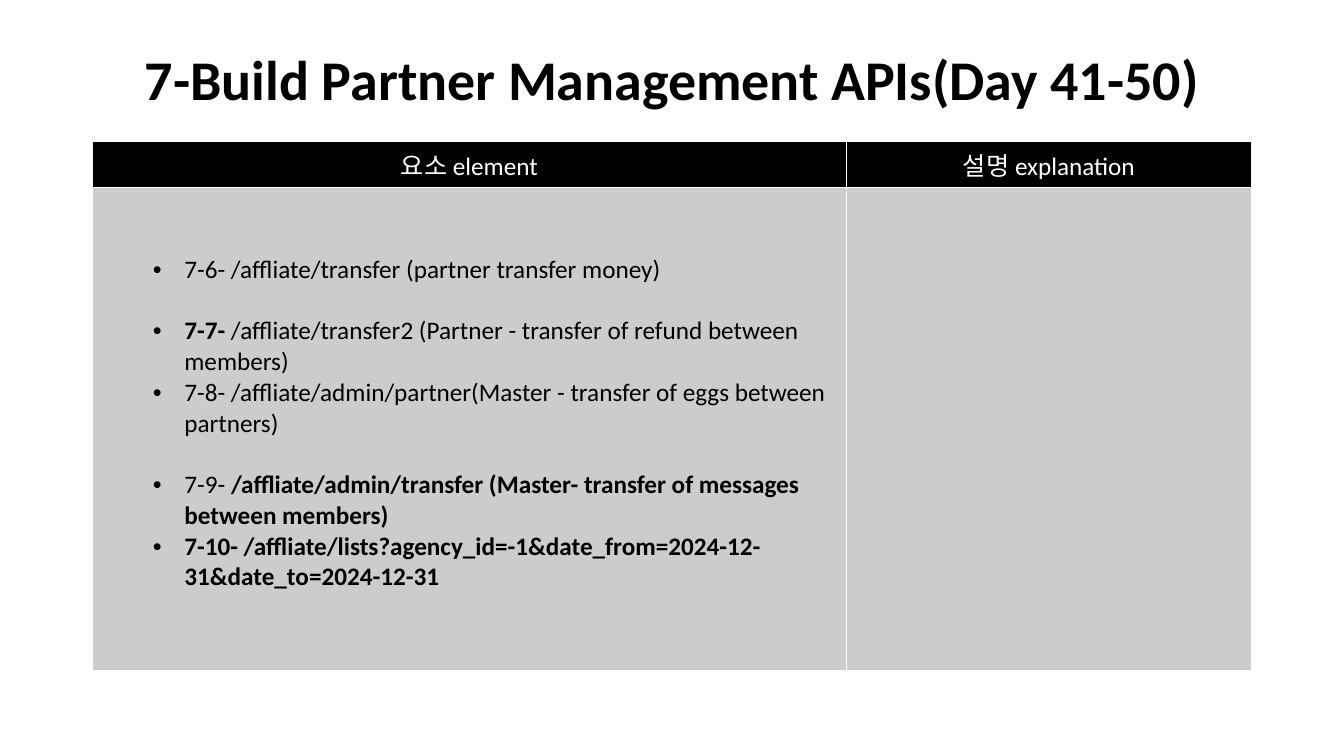
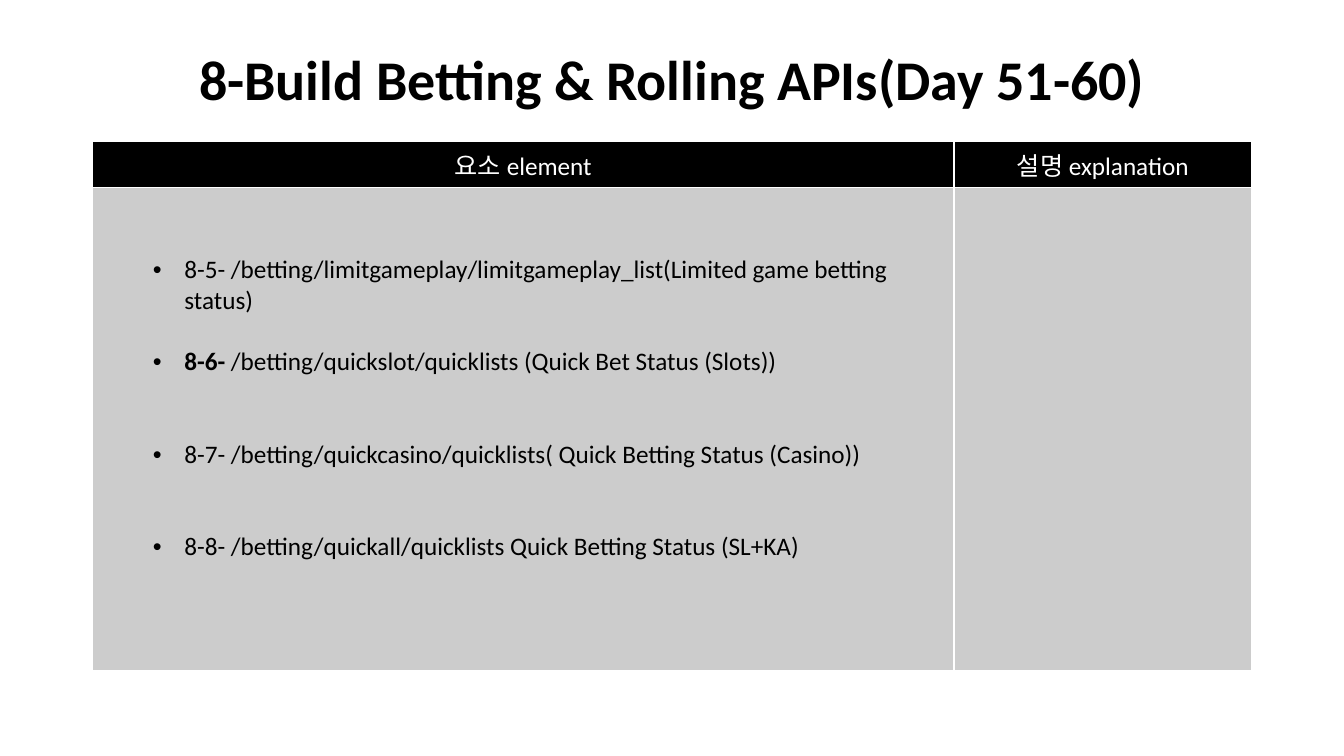
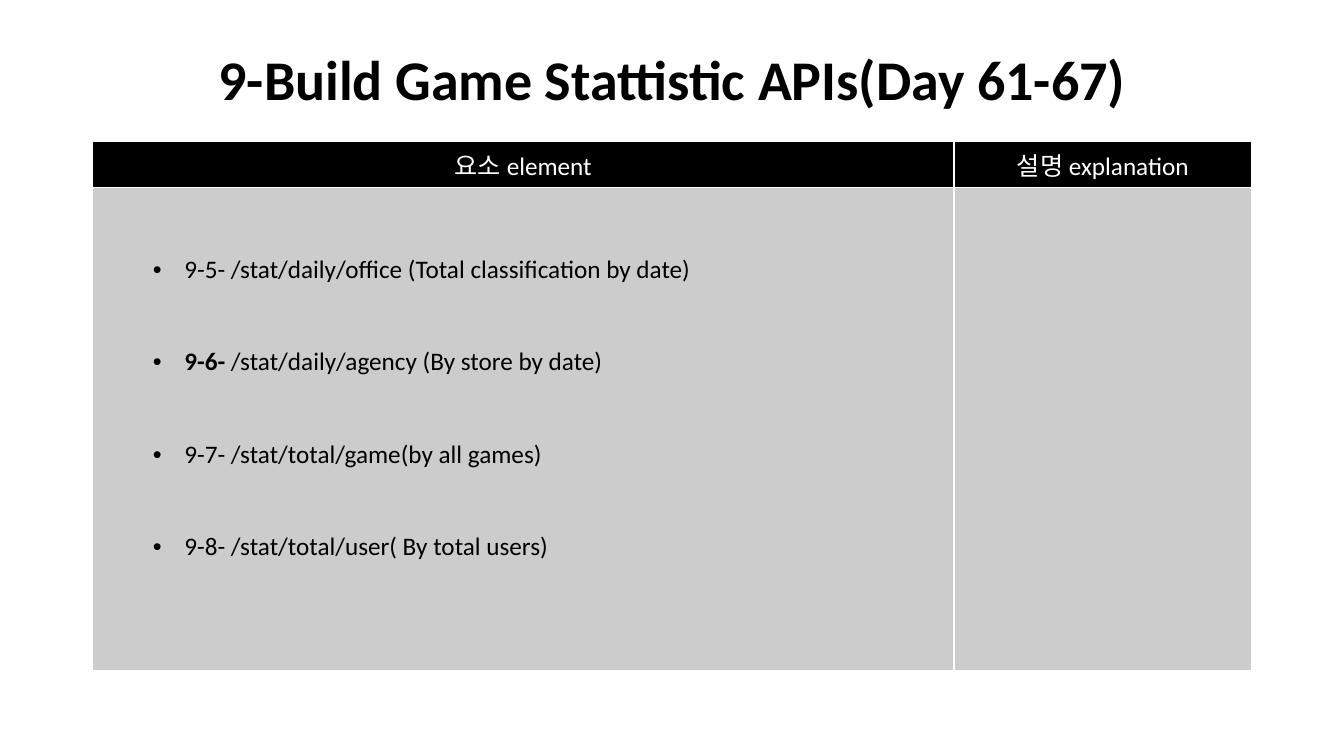
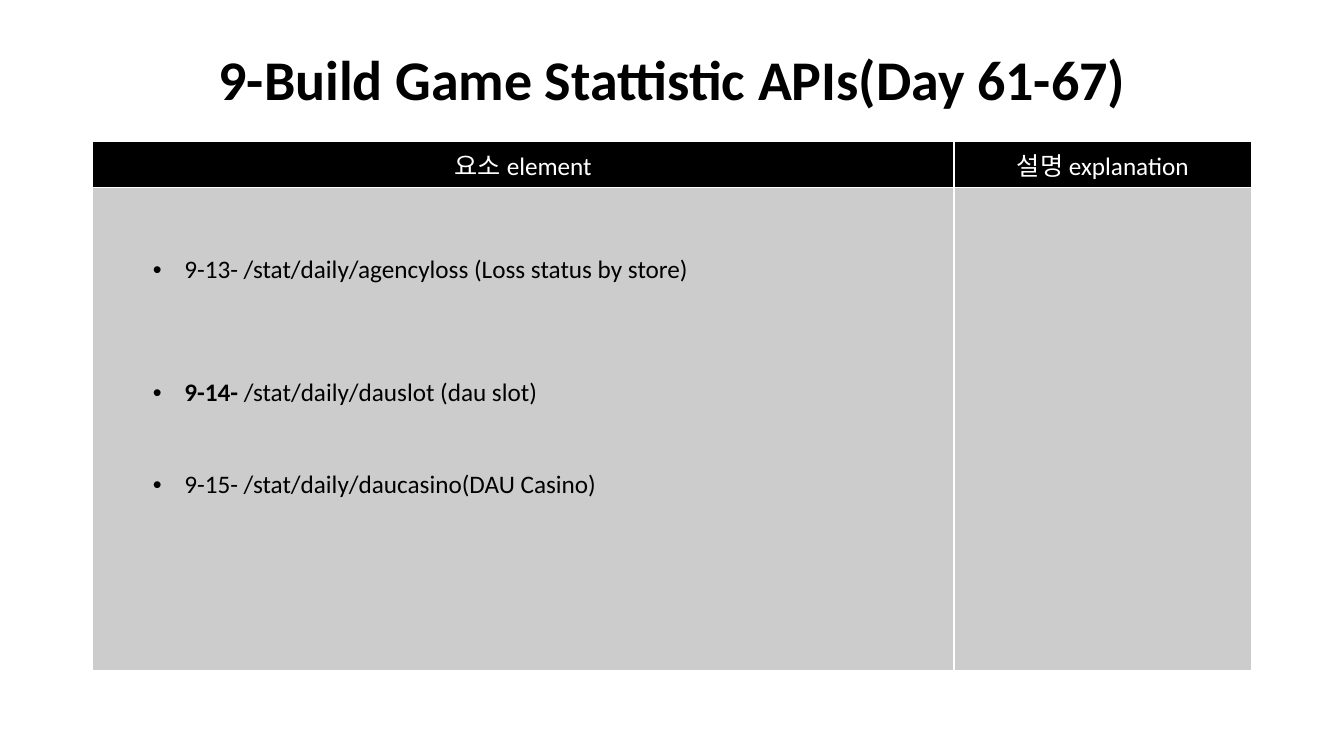
import pptx
import pptx.dml.color
import pptx.enum.text
import pptx.oxml
import pptx.oxml.ns
import pptx.util

Pt = pptx.util.Pt
RGBColor = pptx.dml.color.RGBColor
PP_ALIGN = pptx.enum.text.PP_ALIGN
MSO_ANCHOR = pptx.enum.text.MSO_ANCHOR

# Shared style
BLACK = RGBColor(0x00, 0x00, 0x00)
WHITE = RGBColor(0xFF, 0xFF, 0xFF)
GRAY = RGBColor(0xCC, 0xCC, 0xCC)
FONT = "Calibri"
TEXT_SIZE = 18
TITLE_SIZE = 40

# Shared layout, in points
SLIDE_WIDTH, SLIDE_HEIGHT = 960, 540
CONTENT_LEFT, CONTENT_WIDTH = 66, 828
TITLE_TOP, TITLE_HEIGHT, TITLE_BOTTOM_MARGIN = 28.75, 104.4, 47.6
TABLE_TOP, HEADER_HEIGHT, BODY_HEIGHT = 100.8, 26.64, 344.88
LINE_HEIGHT = 22
BODY_TOP_MARGIN = 3.6 + 2 * LINE_HEIGHT
BULLET_MARGIN, BULLET_INDENT = 58.5, -22.5
WIDE_COLUMN, NARROW_COLUMN = 615.5, 538.5

HEADERS = ["요소 element", "설명 explanation"]

# Each item: free lines above it, then its runs as (text, bold)
PARTNER_ITEMS = [
    (0, [("7-6- /affliate/transfer (partner transfer money)", False)]),
    (1, [("7-7-", True),
         (" /affliate/transfer2 (Partner - transfer of refund between members)", False)]),
    (0, [("7-8- /affliate/admin/partner(Master - transfer of eggs between partners)", False)]),
    (1, [("7-9- ", False),
         ("/affliate/admin/transfer (Master- transfer of messages between members)", True)]),
    (0, [("7-10- /affliate/lists?agency_id=-1&date_from=2024-12-31&date_to=2024-12-31", True)]),
]
BETTING_ITEMS = [
    (0, [("8-5- /betting/limitgameplay/limitgameplay_list(Limited game betting status)", False)]),
    (1, [("8-6-", True),
         (" /betting/quickslot/quicklists (Quick Bet Status (Slots))", False)]),
    (2, [("8-7- /betting/quickcasino/quicklists( Quick Betting Status (Casino))", False)]),
    (2, [("8-8- /betting/quickall/quicklists Quick Betting Status (SL+KA)", False)]),
]
DAILY_ITEMS = [
    (0, [("9-5- /stat/daily/office (Total classification by date)", False)]),
    (2, [("9-6-", True), (" /stat/daily/agency (By store by date)", False)]),
    (2, [("9-7- /stat/total/game(by all games)", False)]),
    (2, [("9-8- /stat/total/user( By total users)", False)]),
]
LOSS_ITEMS = [
    (0, [("9-13- /stat/daily/agencyloss (Loss status by store)", False)]),
    (3, [("9-14-", True), (" /stat/daily/dauslot (dau slot)", False)]),
    (2, [("9-15- /stat/daily/daucasino(DAU Casino)", False)]),
]
STATISTIC_TITLE = "9-Build Game Stattistic APIs(Day 61-67)"

SLIDES = [
    ("7-Build Partner Management APIs(Day 41-50)", NARROW_COLUMN, PARTNER_ITEMS),
    ("8-Build Betting & Rolling APIs(Day 51-60)", WIDE_COLUMN, BETTING_ITEMS),
    (STATISTIC_TITLE, WIDE_COLUMN, DAILY_ITEMS),
    (STATISTIC_TITLE, WIDE_COLUMN, LOSS_ITEMS),
]


def add_run(paragraph, text, size, color, bold=False):
    run = paragraph.add_run()
    run.text = text
    run.font.name = FONT
    run.font.size = Pt(size)
    run.font.bold = bold
    run.font.color.rgb = color


def style_title(layout):
    """Place the layout's title; every slide inherits it."""
    title = layout.placeholders[0]
    title.left, title.top = Pt(CONTENT_LEFT), Pt(TITLE_TOP)
    title.width, title.height = Pt(CONTENT_WIDTH), Pt(TITLE_HEIGHT)
    title.text_frame.vertical_anchor = MSO_ANCHOR.MIDDLE
    title.text_frame.margin_bottom = Pt(TITLE_BOTTOM_MARGIN)


def add_title(slide, text):
    paragraph = slide.shapes.title.text_frame.paragraphs[0]
    paragraph.alignment = PP_ALIGN.CENTER
    paragraph.line_spacing = 0.9
    add_run(paragraph, text, TITLE_SIZE, BLACK, bold=True)


def style_cell(cell, color):
    """Give the cell white one-point borders and a plain fill."""
    properties = cell._tc.get_or_add_tcPr()
    for side in ("lnL", "lnR", "lnT", "lnB"):
        properties.append(pptx.oxml.parse_xml(
            f'<a:{side} {pptx.oxml.ns.nsdecls("a")} w="{Pt(1)}">'
            f'<a:solidFill><a:srgbClr val="{WHITE}"/></a:solidFill></a:{side}>'))
    cell.fill.solid()
    cell.fill.fore_color.rgb = color


def add_bullet(paragraph):
    paragraph.level = 1
    properties = paragraph._p.get_or_add_pPr()
    properties.set("marL", str(Pt(BULLET_MARGIN)))
    properties.set("indent", str(Pt(BULLET_INDENT)))
    for tag in ('buFont typeface="Arial"', 'buChar char="•"'):
        properties.append(pptx.oxml.parse_xml(f'<a:{tag} {pptx.oxml.ns.nsdecls("a")}/>'))


def fill_list(cell, items):
    cell.margin_top = Pt(BODY_TOP_MARGIN)
    text_frame = cell.text_frame
    for index, (free_lines, runs) in enumerate(items):
        paragraph = text_frame.add_paragraph() if index else text_frame.paragraphs[0]
        add_bullet(paragraph)
        if free_lines:
            paragraph.space_before = Pt(free_lines * LINE_HEIGHT)
        for text, bold in runs:
            add_run(paragraph, text, TEXT_SIZE, BLACK, bold)


def add_element_table(slide, first_width, items):
    table = slide.shapes.add_table(
        2, 2, Pt(CONTENT_LEFT), Pt(TABLE_TOP),
        Pt(CONTENT_WIDTH), Pt(HEADER_HEIGHT + BODY_HEIGHT)).table
    table.first_row = table.horz_banding = False
    for row, height in zip(table.rows, (HEADER_HEIGHT, BODY_HEIGHT)):
        row.height = Pt(height)
    for column, width in zip(table.columns, (first_width, CONTENT_WIDTH - first_width)):
        column.width = Pt(width)

    for index, header in enumerate(HEADERS):
        style_cell(table.cell(0, index), BLACK)
        style_cell(table.cell(1, index), GRAY)
        paragraph = table.cell(0, index).text_frame.paragraphs[0]
        paragraph.alignment = PP_ALIGN.CENTER
        add_run(paragraph, header, TEXT_SIZE, WHITE)
    fill_list(table.cell(1, 0), items)


def main():
    presentation = pptx.Presentation()
    presentation.slide_width = Pt(SLIDE_WIDTH)
    presentation.slide_height = Pt(SLIDE_HEIGHT)
    layout = presentation.slide_layouts.get_by_name("Title Only")
    style_title(layout)
    for title, first_width, items in SLIDES:
        slide = presentation.slides.add_slide(layout)
        add_title(slide, title)
        add_element_table(slide, first_width, items)
    presentation.save("out.pptx")


if __name__ == "__main__":
    main()
